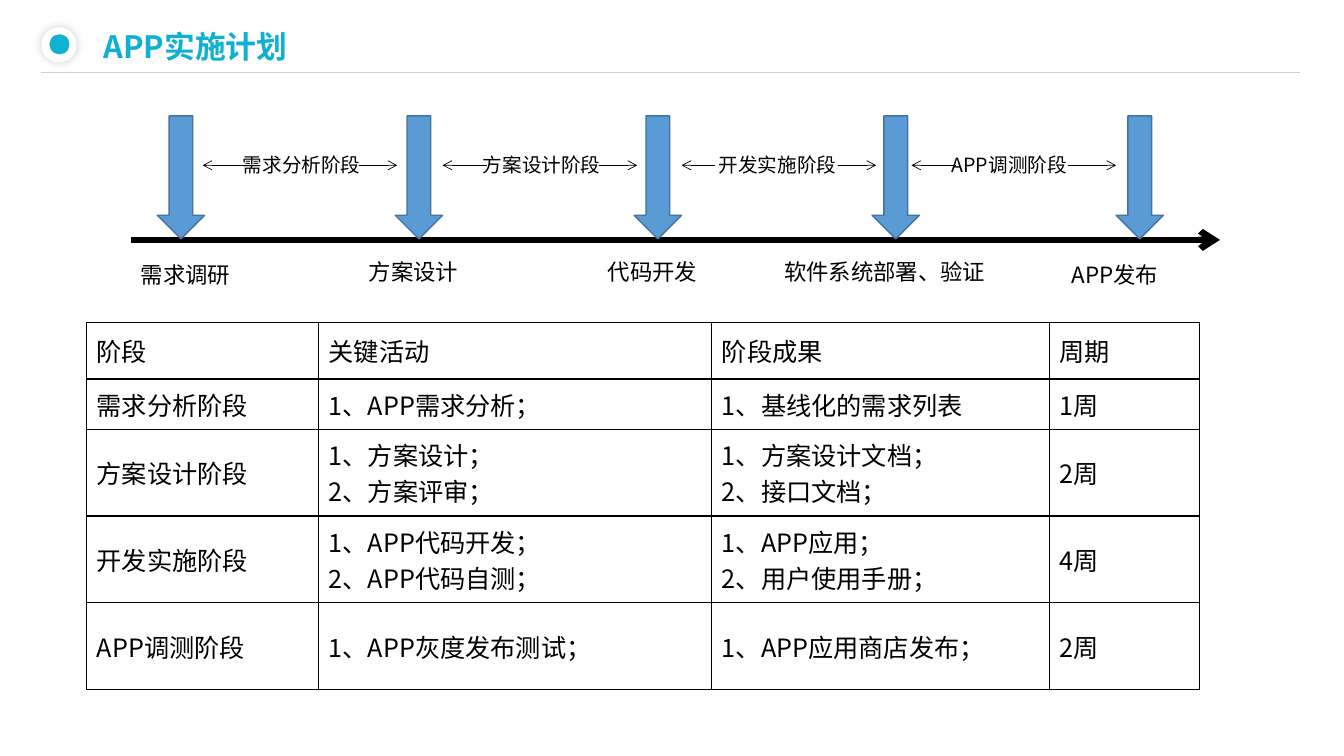
from pptx import Presentation, util as u
from pptx.dml.color import RGBColor
from pptx.enum import shapes, text
from pptx.oxml import parse_xml
from pptx.oxml.ns import nsdecls, qn

Inches, Pt = u.Inches, u.Pt
FONT = "Noto Sans CJK SC"
COLORS = {"accent": "0FB0D2", "black": "000000", "white": "FFFFFF",
          "rule": "D0CECE", "arrow": "5B9BD5", "arrow_edge": "43739E"}

MILESTONES = [(1.56, 1.3, 2.54, 1.1, "需求调研"), (3.92, 3.56, 2.51, 1.38, "方案设计"),
              (6.29, 5.93, 2.51, 1.48, "代码开发"), (8.65, 7.68, 2.51, 2.47, "软件系统部署、验证"),
              (11.07, 10.53, 2.54, 1.3, "APP发布")]
PHASES = [(2.31, "需求分析阶段", 2.46, 2.01, 3.56, 3.94),
          (4.69, "方案设计阶段", 4.83, 4.39, 5.94, 6.32),
          (7.03, "开发实施阶段", 7.09, 6.76, 8.31, 8.69),
          (9.34, "APP调测阶段", 9.48, 9.04, 10.59, 11.07)]
COLUMNS = [2.3, 3.9, 3.35, 1.49]
ROW_HEIGHTS = [0.56, 0.5, 0.86, 0.86, 0.86]
ROWS = [
    ["阶段", "关键活动", "阶段成果", "周期"],
    ["需求分析阶段", "1、APP需求分析；", "1、基线化的需求列表", "1周"],
    ["方案设计阶段", "1、方案设计；\n2、方案评审；", "1、方案设计文档；\n2、接口文档；", "2周"],
    ["开发实施阶段", "1、APP代码开发；\n2、APP代码自测；", "1、APP应用；\n2、用户使用手册；", "4周"],
    ["APP调测阶段", "1、APP灰度发布测试；", "1、APP应用商店发布；", "2周"],
]


def rgb(name):
    """Return the named colour."""
    return RGBColor.from_string(COLORS[name])


def add_run(p, words, size, color="black", bold=False):
    """Append a styled run to a paragraph."""
    r = p.add_run()
    r.text = words
    r.font.size, r.font.bold, r.font.name = Pt(size), bold, FONT
    r.font.color.rgb = rgb(color)
    r._r.get_or_add_rPr().append(
        parse_xml(f'<a:ea {nsdecls("a")} typeface="{FONT}"/>'))


def add_label(s, x, y, w, h, words, size, color="black", bold=False):
    """Add a one-line text box and return its paragraph."""
    tf = s.shapes.add_textbox(Inches(x), Inches(y), Inches(w), Inches(h)).text_frame
    tf.word_wrap = True
    p = tf.paragraphs[0]
    add_run(p, words, size, color, bold)
    return p


def add_shape(parent, kind, x, y, w, h, fill, edge=None):
    """Add a filled preset shape."""
    sp = parent.shapes.add_shape(kind, Inches(x), Inches(y), Inches(w), Inches(h))
    sp.shadow.inherit = False
    sp.fill.solid()
    sp.fill.fore_color.rgb = rgb(fill)
    if edge:
        sp.line.color.rgb = rgb(edge)
        sp.line.width = Pt(1)
    else:
        sp.line.fill.background()
    return sp


def add_line(s, x1, x2, y, width, color="black", arrow=True):
    """Add a horizontal line, with an arrowhead at its end if asked."""
    c = s.shapes.add_connector(shapes.MSO_CONNECTOR.STRAIGHT,
                               Inches(x1), Inches(y), Inches(x2), Inches(y))
    c.line.color.rgb = rgb(color)
    c.line.width = Pt(width)
    if arrow:
        c.line._get_or_add_ln().append(
            parse_xml(f'<a:tailEnd {nsdecls("a")} type="arrow"/>'))
    c._element.spPr.append(parse_xml(f'<a:effectLst {nsdecls("a")}/>'))


def add_bullet_dot(s):
    """Add the ringed dot beside the title."""
    group = s.shapes.add_group_shape()
    oval = shapes.MSO_SHAPE.OVAL
    ring = add_shape(group, oval, 0.41, 0.27, 0.35, 0.35, "white")
    ring._element.spPr.find(qn("a:effectLst")).append(parse_xml(
        f'<a:outerShdw {nsdecls("a")} blurRad="{Pt(6)}" dist="0" dir="5400000">'
        f'<a:srgbClr val="{COLORS["black"]}"><a:alpha val="19000"/></a:srgbClr>'
        '</a:outerShdw>'))
    add_shape(group, oval, 0.49, 0.34, 0.2, 0.2, "accent")


def fill_cell(cell, words):
    """Write a bordered, unfilled cell."""
    cell.vertical_anchor = text.MSO_ANCHOR.MIDDLE
    cell.fill.background()
    tf = cell.text_frame
    for i, line in enumerate(words.split("\n")):
        add_run(tf.add_paragraph() if i else tf.paragraphs[0], line, 18)
    for i, side in enumerate("LRTB"):
        cell._tc.get_or_add_tcPr().insert(i, parse_xml(
            f'<a:ln{side} {nsdecls("a")} w="{Pt(1)}"><a:solidFill>'
            f'<a:srgbClr val="{COLORS["black"]}"/></a:solidFill></a:ln{side}>'))


def add_plan_table(s):
    """Add the table of phases."""
    table = s.shapes.add_table(len(ROWS), len(COLUMNS), Inches(0.86), Inches(3.2),
                               Inches(sum(COLUMNS)), Inches(sum(ROW_HEIGHTS))).table
    table.first_row = table.horz_banding = False
    for column, w in zip(table.columns, COLUMNS):
        column.width = Inches(w)
    for row, h, values in zip(table.rows, ROW_HEIGHTS, ROWS):
        row.height = Inches(h)
        for cell, words in zip(row.cells, values):
            fill_cell(cell, words)


def main():
    """Build the plan slide."""
    prs = Presentation()
    prs.slide_width, prs.slide_height = Inches(13.33), Inches(7.5)
    s = prs.slides.add_slide(prs.slide_layouts[6])
    add_bullet_dot(s)
    title = add_label(s, 0.93, 0.12, 10.37, 0.57, "APP实施计划", 22, "accent", True)
    title.line_spacing = Pt(33.8)
    add_line(s, 0.41, 12.89, 0.72, 0.5, "rule", arrow=False)
    add_line(s, 1.3, 12.1, 2.38, 4.5)
    for arrow_x, x, y, w, words in MILESTONES:
        add_shape(s, shapes.MSO_SHAPE.DOWN_ARROW, arrow_x, 1.15, 0.47, 1.22,
                  "arrow", "arrow_edge")
        add_label(s, x, y, w, 0.37, words, 16)
    for x, words, left_from, left_to, right_from, right_to in PHASES:
        add_line(s, right_from, right_to, 1.64, 0.5)
        add_label(s, x, 1.47, 1.49, 0.34, words, 14)
        add_line(s, left_from, left_to, 1.64, 0.5)
    add_plan_table(s)
    prs.save("out.pptx")


if __name__ == "__main__":
    main()
